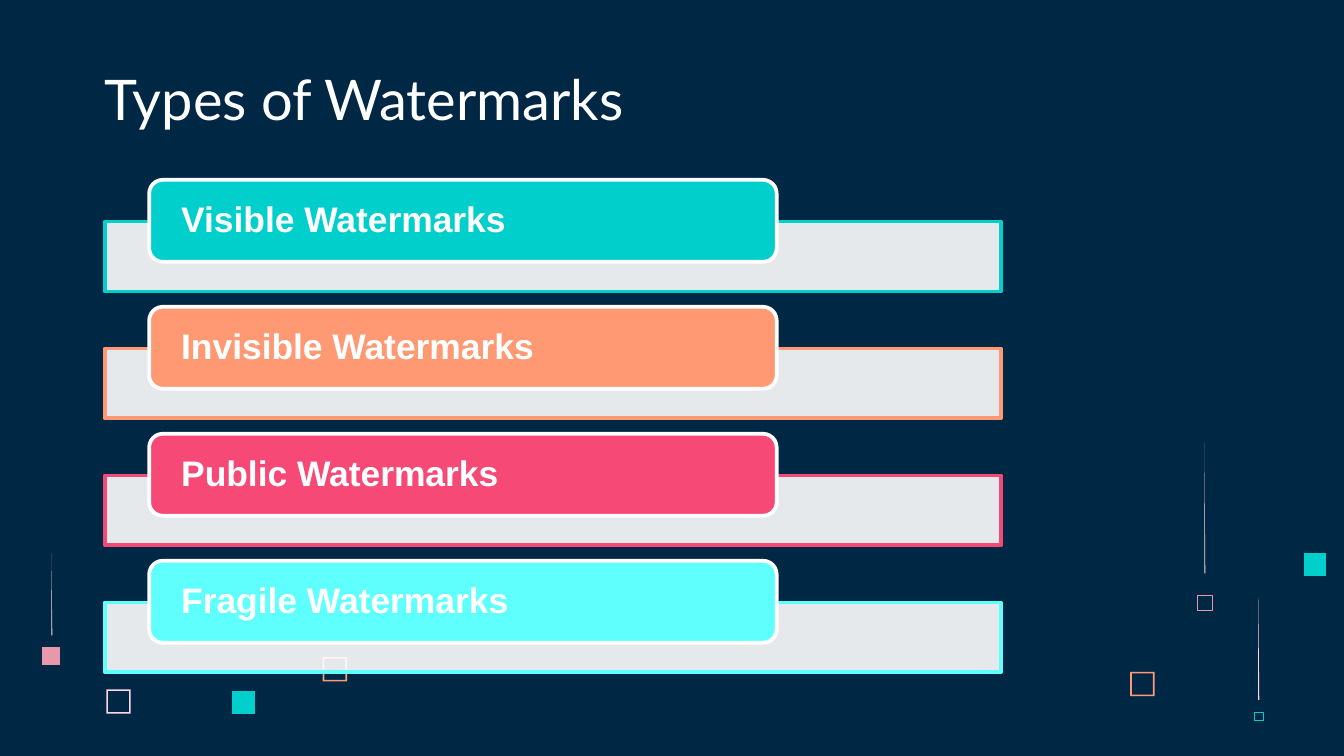
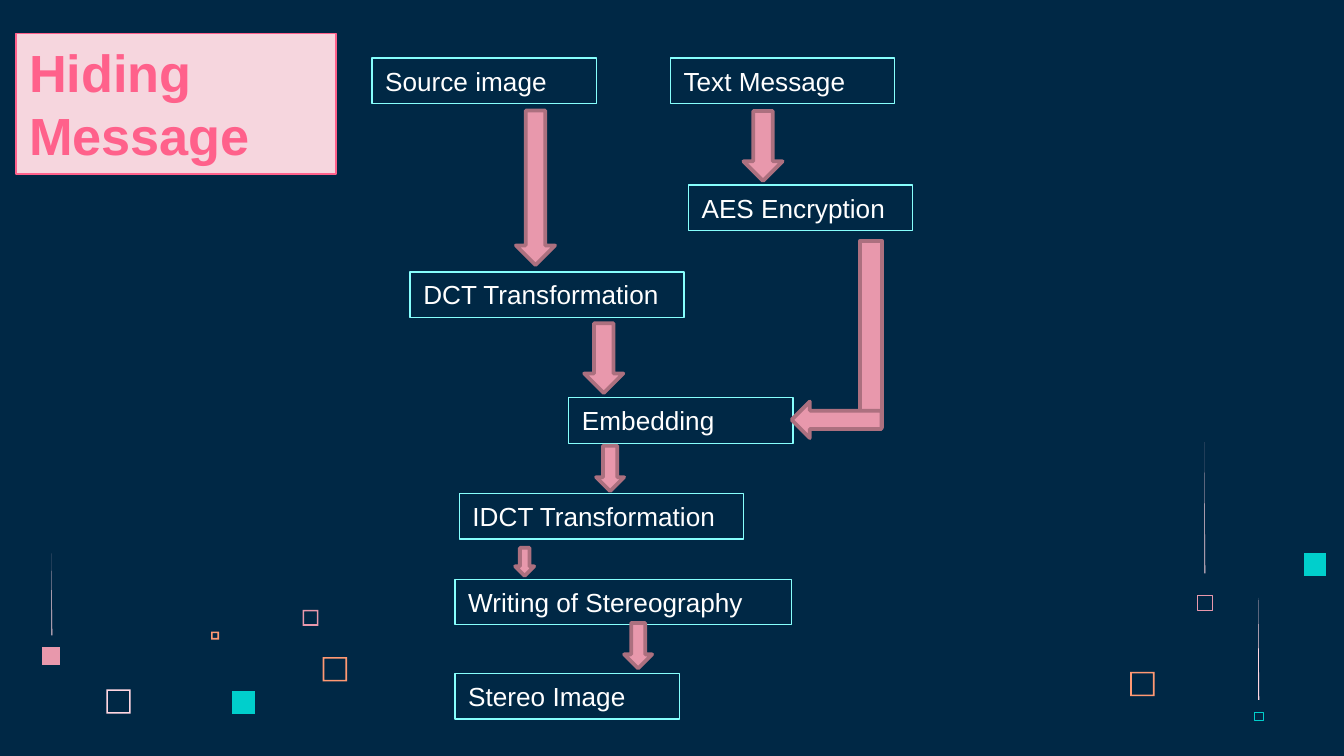
"""Build two slides on digital watermarks: the types, and the message-hiding flow."""

from dataclasses import dataclass
from typing import NamedTuple, Optional

import pptx
import pptx.dml.color
import pptx.enum.shapes
import pptx.enum.text
import pptx.oxml.ns
import pptx.util
from lxml import etree

Cm = pptx.util.Cm
Pt = pptx.util.Pt
SHAPE = pptx.enum.shapes.MSO_SHAPE
ANCHOR = pptx.enum.text.MSO_ANCHOR


@dataclass(frozen=True)
class Theme:
    navy: str = "002845"
    white: str = "FFFFFF"
    teal: str = "00CFCC"
    orange: str = "FF9973"
    red: str = "F64975"
    cyan: str = "5EFFFD"
    pale_cyan: str = "86FFFD"
    pink: str = "E898AC"
    pale_pink: str = "FFD6E1"
    plum: str = "AC707F"
    hot_pink: str = "FF618B"
    blush: str = "F6D6DE"
    heading_font: str = "Lato"
    body_font: str = "Arial"
    title_size: float = 30
    banner_size: float = 28
    pill_size: float = 19
    step_size: float = 14
    thick_line: float = 2
    thin_line: float = 0.75
    hairline: float = 0.23


THEME = Theme()


class Box(NamedTuple):
    left: float
    top: float
    width: float
    height: float


class Square(NamedTuple):
    left: float
    top: float
    side: float
    color: str


class Streak(NamedTuple):
    left: float
    top: float
    height: float


class WatermarkType(NamedTuple):
    name: str
    color: str


class Step(NamedTuple):
    text: str
    left: float
    top: float
    width: float = 4.24


class Arrow(NamedTuple):
    box: Box
    rotation: float = 90


FRAME_BAND = 0.03
FRAMES = [
    Square(2.01, 13.03, 0.46, THEME.pale_pink),
    Square(6.1, 12.42, 0.46, THEME.orange),
    Square(21.36, 12.7, 0.46, THEME.orange),
]
FLOW_FRAMES = [
    Square(5.72, 11.53, 0.3, THEME.pink),
    Square(3.99, 11.94, 0.15, THEME.orange),
]
SOLIDS = [
    Square(4.39, 13.06, 0.43, THEME.teal),
    Square(24.64, 10.46, 0.43, THEME.teal),
    Square(0.79, 12.24, 0.34, THEME.pink),
]
OUTLINES = [
    Square(22.63, 11.25, 0.28, THEME.pink),
    Square(23.71, 13.46, 0.16, THEME.teal),
]
STREAKS = [
    Streak(22.76, 8.36, 2.48),
    Streak(0.97, 10.46, 1.55),
    Streak(23.78, 11.3, 1.93),
]

WATERMARK_TYPES = [
    WatermarkType("Visible Watermarks", THEME.teal),
    WatermarkType("Invisible Watermarks", THEME.orange),
    WatermarkType("Public Watermarks", THEME.red),
    WatermarkType("Fragile Watermarks", THEME.cyan),
]
ROW_PITCH = 2.4

STEP_HEIGHT = 0.86
STEPS = [
    Step("Source image", 7.03, 1.1),
    Step("Text Message", 12.67, 1.1),
    Step("AES Encryption", 13.01, 3.5),
    Step("DCT Transformation", 7.75, 5.14, 5.18),
    Step("Embedding", 10.75, 7.52),
    Step("IDCT Transformation", 8.68, 9.33, 5.37),
    Step("Writing of Stereography", 8.6, 10.95, 6.36),
    Step("Stereo Image", 8.6, 12.73),
]
ELBOW_STEM = Box(16.26, 4.55, 0.41, 3.53)
ARROWS = [
    Arrow(Box(8.66, 3.18, 2.92, 0.74)),
    Arrow(Box(13.76, 2.39, 1.32, 0.74)),
    Arrow(Box(10.75, 6.4, 1.32, 0.74)),
    Arrow(Box(11.1, 8.59, 0.86, 0.53)),
    Arrow(Box(9.65, 10.44, 0.53, 0.36)),
    Arrow(Box(11.63, 11.94, 0.86, 0.53)),
    Arrow(Box(14.96, 7.59, 1.7, 0.69), 180),
]


def rgb(color: str):
    return pptx.dml.color.RGBColor.from_string(color)


def paint(sp, fill: Optional[str], line: Optional[str], width: float) -> None:
    sp.shadow.inherit = False
    if fill:
        sp.fill.solid()
        sp.fill.fore_color.rgb = rgb(fill)
    else:
        sp.fill.background()
    if line:
        sp.line.color.rgb = rgb(line)
        sp.line.width = Pt(width)
    else:
        sp.line.fill.background()


def add_box(s, box: Box, kind=SHAPE.RECTANGLE, fill: Optional[str] = None,
            line: Optional[str] = None, width: float = THEME.thick_line):
    sp = s.shapes.add_shape(kind, *map(Cm, box))
    paint(sp, fill, line, width)
    return sp


def add_polygon(s, contours, fill: Optional[str] = None,
                line: Optional[str] = None) -> None:
    first, *others = [[(Cm(x), Cm(y)) for x, y in c] for c in contours]
    builder = s.shapes.build_freeform(*first[0])
    builder.add_line_segments(first[1:], close=True)
    for contour in others:
        builder.move_to(*contour[0])
        builder.add_line_segments(contour[1:], close=True)
    paint(builder.convert_to_shape(), fill, line, THEME.hairline)


def corners(q: Square, inset: float = 0) -> list:
    x1, y1 = q.left + inset, q.top + inset
    x2, y2 = q.left + q.side - inset, q.top + q.side - inset
    return [(x1, y1), (x2, y1), (x2, y2), (x1, y2)]


def add_frame(s, q: Square) -> None:
    add_polygon(s, [corners(q), corners(q, FRAME_BAND)[::-1]], fill=q.color)


def add_streak(s, k: Streak) -> None:
    bottom = k.top + k.height
    points = [(k.left, k.top), (k.left, bottom), (k.left + 0.02, bottom)]
    add_polygon(s, [points], fill=THEME.pale_pink)


def write(sp, text: str, *, size: float, color: str = THEME.white,
          font: str = THEME.body_font, bold: bool = False, anchor=ANCHOR.TOP,
          inset_x: float = 0.25, inset_y: float = 0.13,
          spacing: Optional[float] = None, grow: bool = False) -> None:
    tf = sp.text_frame
    tf.word_wrap = True
    tf.vertical_anchor = anchor
    tf.margin_left = tf.margin_right = Cm(inset_x)
    tf.margin_top = tf.margin_bottom = Cm(inset_y)
    if grow:
        tf.auto_size = pptx.enum.text.MSO_AUTO_SIZE.SHAPE_TO_FIT_TEXT
    tf.text = text
    for p in tf.paragraphs:
        p.alignment = pptx.enum.text.PP_ALIGN.LEFT
        if spacing:
            p.line_spacing = spacing
        for r in p.runs:
            r.font.name = font
            r.font.size = Pt(size)
            r.font.bold = bold
            r.font.color.rgb = rgb(color)


def set_opacity(sp, percent: int) -> None:
    qn = pptx.oxml.ns.qn
    clr = sp._element.spPr.find(qn("a:solidFill")).find(qn("a:srgbClr"))
    etree.SubElement(clr, qn("a:alpha")).set("val", str(percent * 1000))


def add_slide(prs, extra_frames=()):
    s = prs.slides.add_slide(prs.slide_layouts[6])
    for q in [*FRAMES, *extra_frames]:
        add_frame(s, q)
    for q in SOLIDS:
        add_polygon(s, [corners(q)], fill=q.color)
    for q in OUTLINES:
        add_polygon(s, [corners(q)], line=q.color)
    for k in STREAKS:
        add_streak(s, k)
    return s


def build_types(prs) -> None:
    s = add_slide(prs)
    title = s.shapes.add_textbox(*map(Cm, Box(1.73, 1.14, 10.72, 1.6)))
    write(title, "Types of Watermarks", size=THEME.title_size,
          font=THEME.heading_font, anchor=ANCHOR.BOTTOM, inset_y=0.25)
    for i, kind in enumerate(WATERMARK_TYPES):
        drop = i * ROW_PITCH
        bar = add_box(s, Box(1.98, 4.19 + drop, 16.94, 1.32),
                      fill=THEME.white, line=kind.color)
        set_opacity(bar, 90)
        pill = add_box(s, Box(2.82, 3.4 + drop, 11.86, 1.55),
                       SHAPE.ROUNDED_RECTANGLE, kind.color, THEME.white)
        write(pill, kind.name, size=THEME.pill_size, bold=True,
              anchor=ANCHOR.MIDDLE, inset_x=0.53, inset_y=0, spacing=0.9)


def build_flow(prs) -> None:
    s = add_slide(prs, FLOW_FRAMES)
    for step in STEPS:
        sp = add_box(s, Box(step.left, step.top, step.width, STEP_HEIGHT),
                     line=THEME.pale_cyan, width=THEME.thin_line)
        write(sp, step.text, size=THEME.step_size, grow=True)
    add_box(s, ELBOW_STEM, fill=THEME.pink, line=THEME.plum)
    for arrow in ARROWS:
        sp = add_box(s, arrow.box, SHAPE.RIGHT_ARROW, THEME.pink, THEME.plum)
        sp.rotation = arrow.rotation
    banner = add_box(s, Box(0.3, 0.64, 6.05, 2.65), fill=THEME.blush,
                     line=THEME.hot_pink, width=THEME.thin_line)
    write(banner, "Hiding\nMessage", size=THEME.banner_size,
          color=THEME.hot_pink, bold=True, grow=True)


def main() -> None:
    prs = pptx.Presentation()
    prs.slide_width, prs.slide_height = Cm(25.4), Cm(14.29)
    fill = prs.slide_master.background.fill
    fill.solid()
    fill.fore_color.rgb = rgb(THEME.navy)
    build_types(prs)
    build_flow(prs)
    prs.save("out.pptx")


if __name__ == "__main__":
    main()
